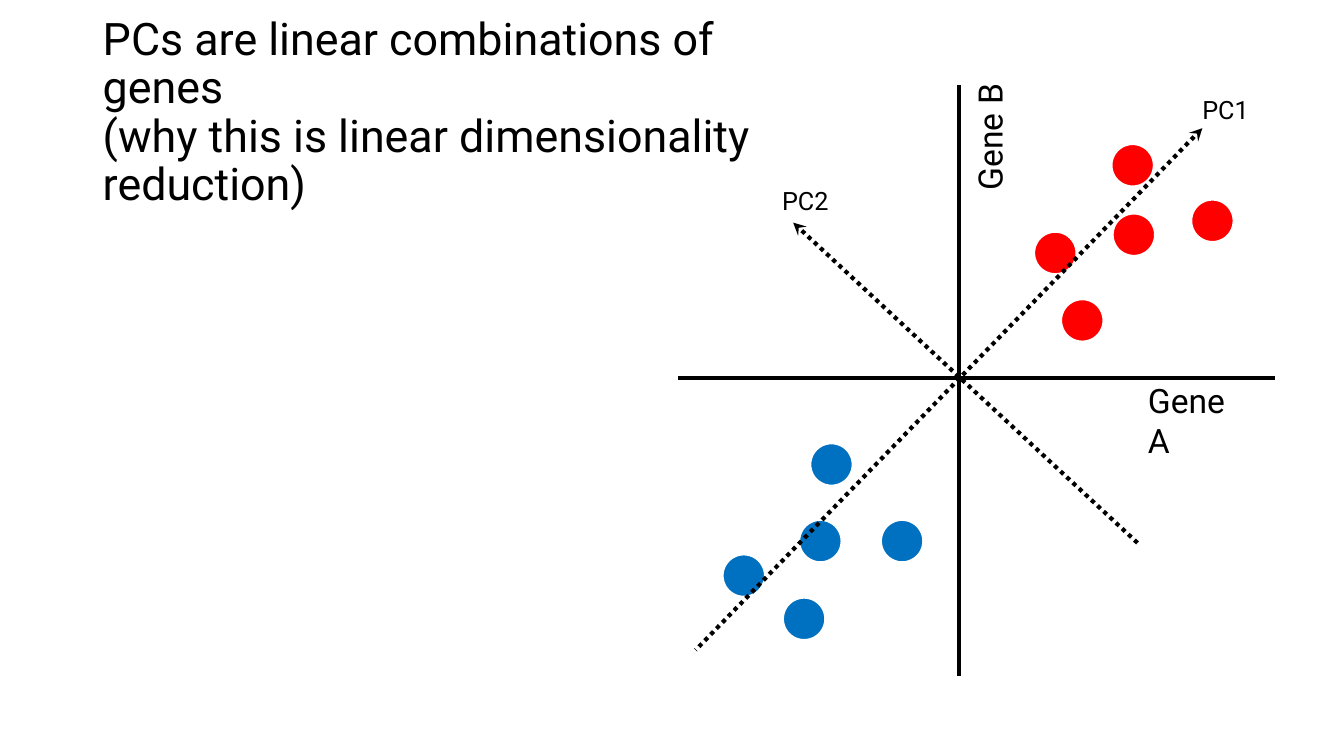
from lxml import etree
from pptx import Presentation
from pptx.dml.color import RGBColor
from pptx.enum.dml import MSO_LINE
from pptx.enum.shapes import MSO_CONNECTOR, MSO_SHAPE
from pptx.enum.text import MSO_ANCHOR, MSO_AUTO_SIZE
from pptx.oxml.ns import qn
from pptx.util import Cm, Pt

STRAIGHT = MSO_CONNECTOR.STRAIGHT
OVAL = MSO_SHAPE.OVAL
DOTTED = MSO_LINE.ROUND_DOT
MIDDLE = MSO_ANCHOR.MIDDLE
NO_FIT = MSO_AUTO_SIZE.NONE
BLACK, WHITE, RED, BLUE = "000000", "FFFFFF", "FF0000", "0070C0"
DOT_SIZE = 1.37


def rgb(color):
    return RGBColor.from_string(color)


def add_text(text, x, y, w, h, size, wrap=False):
    s = slide.shapes.add_textbox(Cm(x), Cm(y), Cm(w), Cm(h))
    tf = s.text_frame
    tf.word_wrap = wrap
    tf.auto_size = NO_FIT
    tf.text = text
    for r in tf.paragraphs[0].runs:
        r.font.name = "Roboto"
        r.font.size = Pt(size)
        r.font.color.rgb = rgb(BLACK)
    return s


prs = Presentation()
prs.slide_width, prs.slide_height = Cm(33.87), Cm(19.05)
slide = prs.slides.add_slide(prs.slide_layouts[6])

# Title
title = add_text("PCs are linear combinations of genes \v"
                 "(why this is linear dimensionality reduction)",
                 2.34, 1.02, 17.53, 3.68, 32, wrap=True)
title.text_frame.vertical_anchor = MIDDLE
title.text_frame.paragraphs[0].line_spacing = 0.9

# Samples: two clusters of dots
clusters = {
    RED: [(27.86, 3.48), (27.89, 5.23), (26.59, 7.39), (29.87, 4.88), (25.91, 5.69)],
    BLUE: [(19.58, 14.91), (19.99, 12.95), (22.05, 12.95), (18.06, 13.82), (20.27, 11.02)],
}
for color, dots in clusters.items():
    for x, y in dots:
        s = slide.shapes.add_shape(OVAL, Cm(x), Cm(y), Cm(DOT_SIZE), Cm(DOT_SIZE))
        s.shadow.inherit = False
        s.fill.solid()
        s.fill.fore_color.rgb = rgb(color)
        s.line.color.rgb = rgb(WHITE)
        s.line.width = Pt(10)

# Gene axes (solid) and principal components (dotted, arrow at the start)
axes = [
    (24.16, 2.13, 24.16, 17.04, False),
    (32.13, 9.53, 17.09, 9.53, False),
    (30.3, 3.23, 17.53, 16.38, True),
    (19.99, 5.61, 28.73, 13.74, True),
]
for x1, y1, x2, y2, is_component in axes:
    line = slide.shapes.add_connector(STRAIGHT, Cm(x1), Cm(y1), Cm(x2), Cm(y2))
    line.line.color.rgb = rgb(BLACK)
    line.line.width = Pt(3)
    sp_pr = line._element.spPr
    if is_component:
        line.line.dash_style = DOTTED
        etree.SubElement(sp_pr.find(qn("a:ln")), qn("a:headEnd"), type="stealth")
    etree.SubElement(sp_pr, qn("a:effectLst"))

# Axis labels
add_text("Gene A", 28.68, 9.45, 2.8, 1.27, 24, wrap=True)
gene_b = add_text("Gene B", 23.34, 2.82, 3.18, 1.27, 24)
gene_b.rotation = 270
add_text("PC1", 30.05, 2.26, 1.68, 1.02, 18)
add_text("PC2", 19.46, 4.55, 1.68, 1.02, 18)

prs.save("out.pptx")
